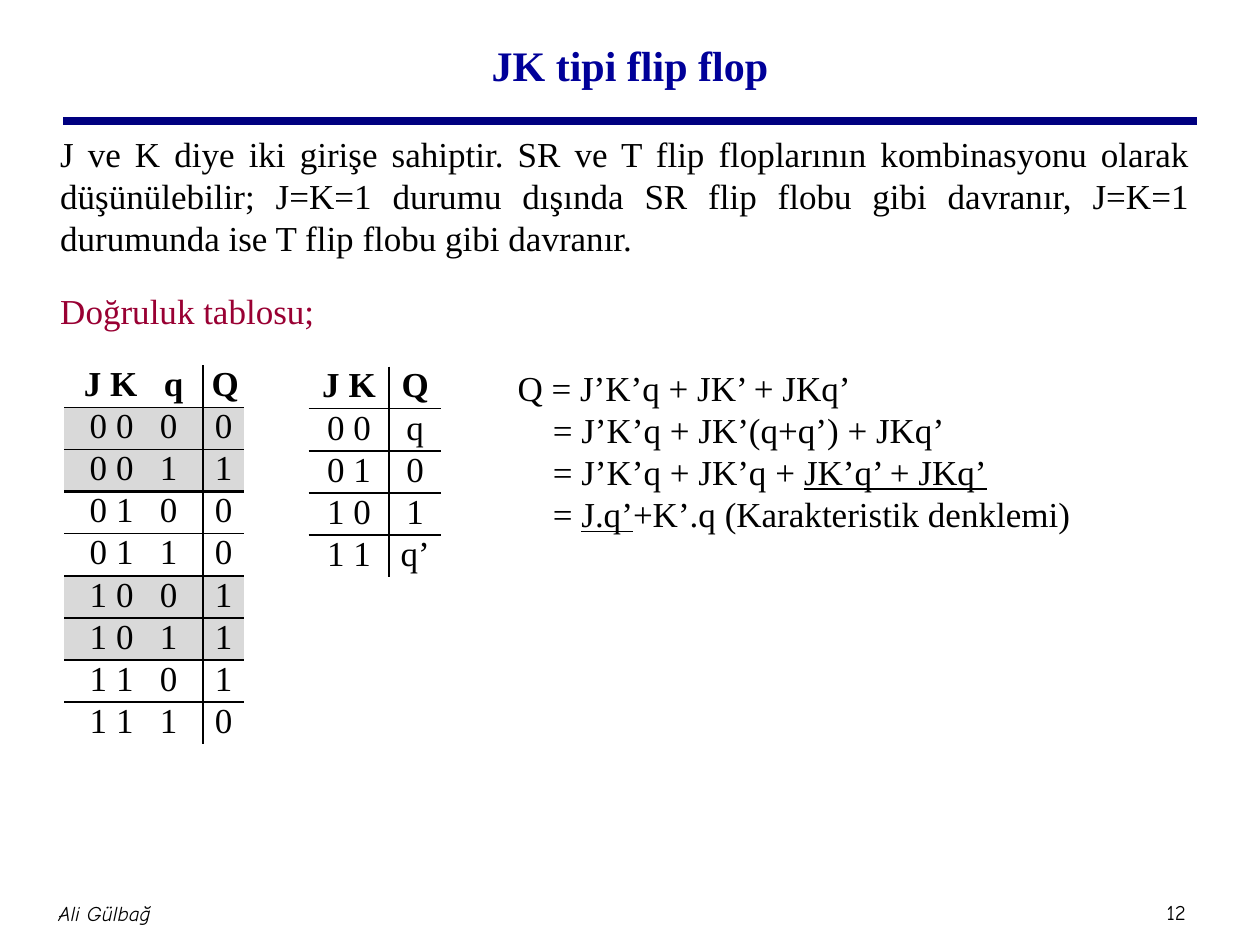
from lxml import etree
from pptx import Presentation
from pptx import util as u
from pptx.dml.color import RGBColor
from pptx.enum import shapes, text
from pptx.oxml import ns

MID = text.MSO_ANCHOR.MIDDLE
LEFT, CENTER, JUST = (text.PP_ALIGN.LEFT, text.PP_ALIGN.CENTER,
                      text.PP_ALIGN.JUSTIFY)
BLACK, NAVY, BLUE, RED, GRAY = "000000", "000080", "000099", "990033", "D9D9D9"


def color(code):
    return RGBColor.from_string(code)


def box(*sides):
    return [u.Inches(side) for side in sides]


def write(para, parts, size=20, font="Times New Roman", ink=BLACK, bold=False,
          italic=False, align=LEFT, line=None, before=0, indent=0):
    """Fill a paragraph; each part is a string or (string, run format)."""
    para.alignment = align
    para.space_before = u.Pt(before)
    if line:
        para.line_spacing = u.Pt(line)
    if indent:
        para._p.get_or_add_pPr().set("marL", str(u.Inches(indent)))
    for part in [parts] if isinstance(parts, str) else parts:
        words, look = (part, {}) if isinstance(part, str) else part
        run = para.add_run()
        run.text = words
        face = run.font
        face.name, face.size, face.bold = font, u.Pt(size), bold
        face.italic, face.underline = italic, look.get("under", False)
        face.color.rgb = color(ink)
        if "gap" in look:
            run._r.get_or_add_rPr().set("spc", str(look["gap"] * 100))


def edge(cell, side, width):
    """Draw one cell border, or clear it when the width is zero."""
    line = etree.SubElement(cell._tc.get_or_add_tcPr(), ns.qn("a:ln" + side))
    line.set("w", str(u.Pt(width)))
    if width:
        fill = etree.SubElement(line, ns.qn("a:solidFill"))
        etree.SubElement(fill, ns.qn("a:srgbClr")).set("val", BLACK)
    else:
        etree.SubElement(line, ns.qn("a:noFill"))


class Deck:
    def __init__(self, wide, high):
        self.prs = Presentation()
        self.prs.slide_width, self.prs.slide_height = box(wide, high)
        self.slide = self.prs.slides.add_slide(self.prs.slide_layouts[5])

    def title(self, words, spot):
        shape = self.slide.shapes.title
        shape.left, shape.top, shape.width, shape.height = box(*spot)
        shape.text_frame.vertical_anchor = MID
        write(shape.text_frame.paragraphs[0], words, size=24, ink=BLUE,
              bold=True, align=CENTER)

    def label(self, spot, paras, inset=None, anchor=text.MSO_ANCHOR.TOP):
        frame = self.slide.shapes.add_textbox(*box(*spot)).text_frame
        frame.word_wrap = True
        frame.vertical_anchor = anchor
        if inset is not None:
            frame.margin_left = frame.margin_right = u.Inches(inset)
            frame.margin_top = frame.margin_bottom = u.Inches(inset)
        for i, (parts, look) in enumerate(paras):
            para = frame.add_paragraph() if i else frame.paragraphs[0]
            write(para, parts, **look)

    def rule(self, left, right, y, width):
        line = self.slide.shapes.add_connector(
            shapes.MSO_CONNECTOR.STRAIGHT, *box(left, y, right, y))
        line.line.color.rgb = color(NAVY)
        line.line.width = u.Pt(width)
        etree.SubElement(line._element.spPr, ns.qn("a:effectLst"))

    def table(self, left, top, cols, rows, paired=False):
        high = 0.31
        grid = self.slide.shapes.add_table(
            len(rows), len(cols),
            *box(left, top, sum(cols), high * len(rows))).table
        grid.first_row = grid.horz_banding = False
        for col, wide in zip(grid.columns, cols):
            col.width = u.Inches(wide)
        # Line below each row; pairs of rows end in a heavier one
        below = [1.5 if paired and i and i % 2 == 0 else 1
                 for i in range(len(rows))]
        below[-1] = 0
        for i, row in enumerate(rows):
            grid.rows[i].height = u.Inches(high)
            shade = paired and i > 0 and (i - 1) // 2 % 2 == 0
            for j, parts in enumerate(row):
                cell = grid.cell(i, j)
                cell.margin_left = cell.margin_right = u.Inches(0.07)
                cell.margin_top = cell.margin_bottom = 0
                edge(cell, "L", 1.5 if j else 0)
                edge(cell, "R", 0 if j else 1.5)
                edge(cell, "T", below[i - 1] if i else 0)
                edge(cell, "B", below[i])
                if shade:
                    cell.fill.solid()
                    cell.fill.fore_color.rgb = color(GRAY)
                else:
                    cell.fill.background()
                write(cell.text_frame.paragraphs[0], parts, bold=i == 0,
                      align=CENTER)


deck = Deck(10, 7.5)

# Title and rule
deck.title("JK tipi flip flop", (0.75, 0.08, 8.5, 0.86))
deck.rule(0.5, 9.5, 0.96, 4.5)

# Introduction
deck.label((0.38, 1, 9.16, 5.55), [
    ("J ve K diye iki girişe sahiptir. SR ve T flip floplarının kombinasyonu "
     "olarak düşünülebilir; J=K=1 durumu dışında SR flip flobu gibi davranır, "
     "J=K=1 durumunda ise T flip flobu gibi davranır.",
     dict(align=JUST, line=24)),
    ("Doğruluk tablosu;", dict(align=JUST, line=24, before=18, ink=RED)),
])

# Full truth table
wide = (" ", dict(gap=10))
truth = [([f"{n >> 2} {n >> 1 & 1}", wide, str(n & 1)], out)
         for n, out in enumerate("01001110")]
deck.table(0.51, 2.9, (1.1, 0.33), [(["J K", wide, "q"], "Q")] + truth,
           paired=True)

# Short truth table
deck.table(2.45, 2.91, (0.64, 0.41), [
    ("J K", "Q"), ("0 0", "q"), ("0 1", "0"), ("1 0", "1"), ("1 1", "q’")])

# Characteristic equation
under = dict(under=True)
steps = ["= J’K’q + JK’(q+q’) + JKq’",
         ["= J’K’q + JK’q + ", ("JK’q’ + JKq’", under)],
         ["= ", ("J.q’", under), "+K’.q (Karakteristik denklemi)"]]
deck.label((4.01, 2.86, 5.5, 1.45),
           [("Q = J’K’q + JK’ + JKq’", dict(line=24))]
           + [(step, dict(line=24, indent=0.28)) for step in steps])

# Footer
foot = dict(size=12, font="Comic Neue", align=CENTER)
deck.label((0.33, 7, 1, 0.5), [("Ali Gülbağ", dict(foot, italic=True))],
           inset=0.05, anchor=MID)
deck.label((9.1, 7.09, 0.47, 0.3), [("12", foot)], inset=0.05, anchor=MID)

deck.prs.save("out.pptx")
